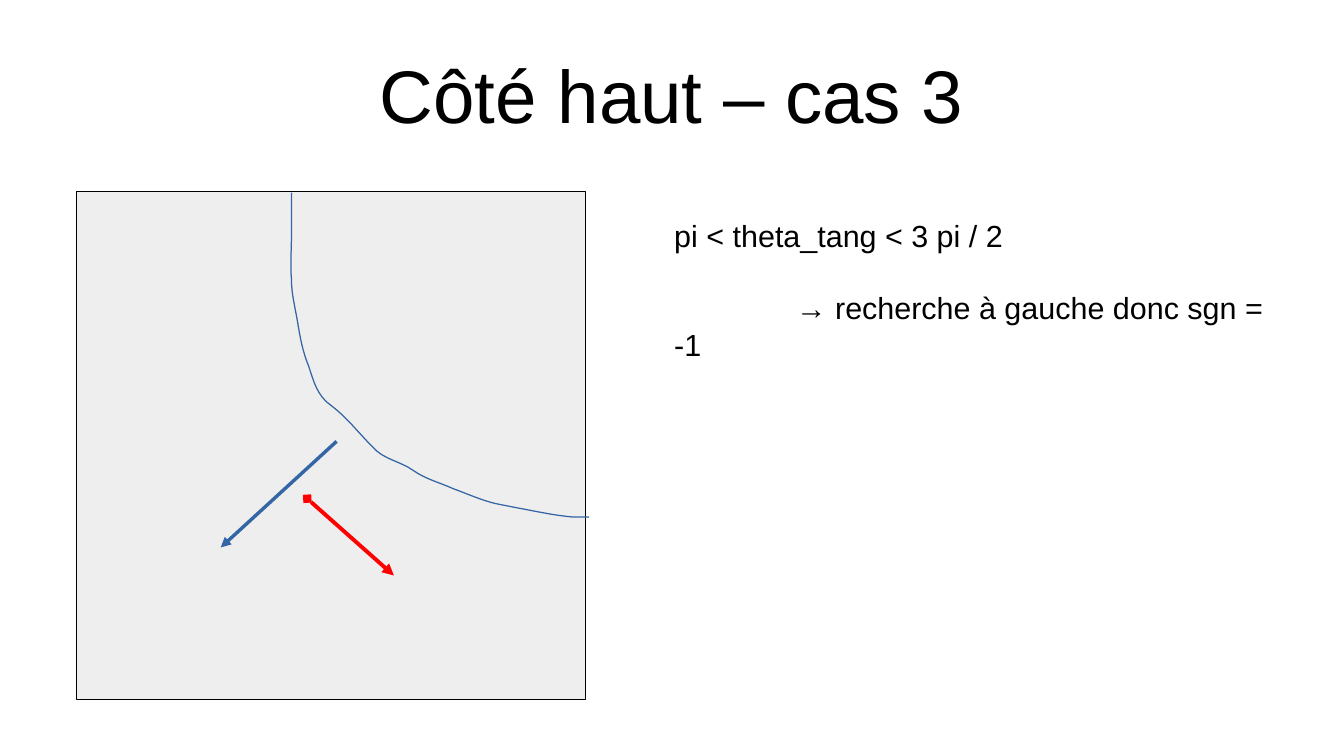
from lxml import etree
from pptx import Presentation
from pptx.dml.color import RGBColor
from pptx.enum import shapes, text
from pptx.oxml import ns
from pptx.util import Inches, Pt

BLACK = RGBColor(0x00, 0x00, 0x00)
GREY = RGBColor(0xEE, 0xEE, 0xEE)
BLUE = RGBColor(0x34, 0x65, 0xA4)
RED = RGBColor(0xFF, 0x00, 0x00)

# Boundary curve: start point, then two control points and an end point per segment
CURVE_START = (2.39, 1.58)
CURVE_SEGMENTS = [
    ((2.39, 1.70), (2.39, 1.81), (2.39, 1.93)),
    ((2.39, 2.05), (2.38, 2.17), (2.39, 2.29)),
    ((2.39, 2.41), (2.42, 2.52), (2.44, 2.64)),
    ((2.46, 2.76), (2.48, 2.88), (2.53, 3.00)),
    ((2.57, 3.12), (2.60, 3.25), (2.72, 3.33)),
    ((2.84, 3.42), (2.94, 3.55), (3.05, 3.66)),
    ((3.14, 3.77), (3.28, 3.78), (3.39, 3.86)),
    ((3.49, 3.93), (3.61, 3.96), (3.72, 4.01)),
    ((3.83, 4.05), (3.94, 4.10), (4.06, 4.13)),
    ((4.16, 4.15), (4.26, 4.17), (4.37, 4.19)),
    ((4.47, 4.21), (4.58, 4.23), (4.69, 4.24)),
]
CURVE_END = (4.83, 4.24)
STEPS = 8


def add_text(slide, left, top, width, height, lines, size, centred=False):
    box = slide.shapes.add_textbox(Inches(left), Inches(top), Inches(width), Inches(height))
    frame = box.text_frame
    frame.word_wrap = True
    frame.text = "\n".join(lines)
    if centred:
        frame.vertical_anchor = text.MSO_ANCHOR.MIDDLE
        frame.margin_left = frame.margin_right = frame.margin_top = frame.margin_bottom = 0
    for paragraph in frame.paragraphs:
        if centred:
            paragraph.alignment = text.PP_ALIGN.CENTER
        for run in paragraph.runs:
            run.font.name = "Arial"
            run.font.size = Pt(size)
            run.font.color.rgb = BLACK
    return frame


def add_tab_stop(paragraph, position):
    properties = paragraph._p.get_or_add_pPr()
    tabs = etree.SubElement(properties, ns.qn("a:tabLst"))
    etree.SubElement(tabs, ns.qn("a:tab"), pos=str(Inches(position)), algn="l")


def add_square(slide, left, top, side):
    square = slide.shapes.add_shape(
        shapes.MSO_SHAPE.RECTANGLE, Inches(left), Inches(top), Inches(side), Inches(side))
    square.shadow.inherit = False
    square.fill.solid()
    square.fill.fore_color.rgb = GREY
    square.line.color.rgb = BLACK
    square.line.width = Pt(0)


def bezier_point(points, t):
    weights = ((1 - t) ** 3, 3 * t * (1 - t) ** 2, 3 * t ** 2 * (1 - t), t ** 3)
    return tuple(Inches(sum(w * point[axis] for w, point in zip(weights, points)))
                 for axis in (0, 1))


def add_curve(slide, start, segments, end):
    builder = slide.shapes.build_freeform(Inches(start[0]), Inches(start[1]))
    vertices = []
    for segment in segments:
        vertices += [bezier_point((start, *segment), step / STEPS)
                     for step in range(1, STEPS + 1)]
        start = segment[-1]
    vertices.append((Inches(end[0]), Inches(end[1])))
    builder.add_line_segments(vertices, close=False)
    curve = builder.convert_to_shape()
    curve.shadow.inherit = False
    curve.fill.background()
    curve.line.color.rgb = BLUE
    curve.line.width = Pt(0)


def add_arrow(slide, start, end, color, width, **ends):
    arrow = slide.shapes.add_connector(
        shapes.MSO_CONNECTOR.STRAIGHT, *(Inches(value) for value in start + end))
    arrow.line.color.rgb = color
    arrow.line.width = Pt(width)
    line = arrow.line._get_or_add_ln()
    for name, kind in ends.items():
        etree.SubElement(line, ns.qn("a:" + name), type=kind)
    etree.SubElement(arrow._element.spPr, ns.qn("a:effectLst"))


def main():
    presentation = Presentation()
    presentation.slide_width = Inches(11.02)
    presentation.slide_height = Inches(6.2)
    slide = presentation.slides.add_slide(presentation.slide_layouts[6])

    # Title
    add_text(slide, 0.55, 0.25, 9.92, 1.04, ["Côté haut – cas 3"], 44, centred=True)

    # Cell
    add_square(slide, 0.63, 1.57, 4.17)

    # Condition and its consequence
    frame = add_text(slide, 5.43, 1.73, 5.12, 0.94, [
        "pi < theta_tang < 3 pi / 2",
        "\t→ recherche à gauche donc sgn = -1",
    ], 18)
    consequence = frame.paragraphs[1]
    add_tab_stop(consequence, 1)
    consequence.space_before = Pt(21)

    # Boundary curve with its normal and tangent arrows
    add_curve(slide, CURVE_START, CURVE_SEGMENTS, CURVE_END)
    add_arrow(slide, (2.76, 3.62), (1.81, 4.49), BLUE, 0, tailEnd="triangle")
    add_arrow(slide, (3.23, 4.72), (2.52, 4.09), RED, 2.3,
              headEnd="triangle", tailEnd="diamond")

    presentation.save("out.pptx")


if __name__ == "__main__":
    main()
